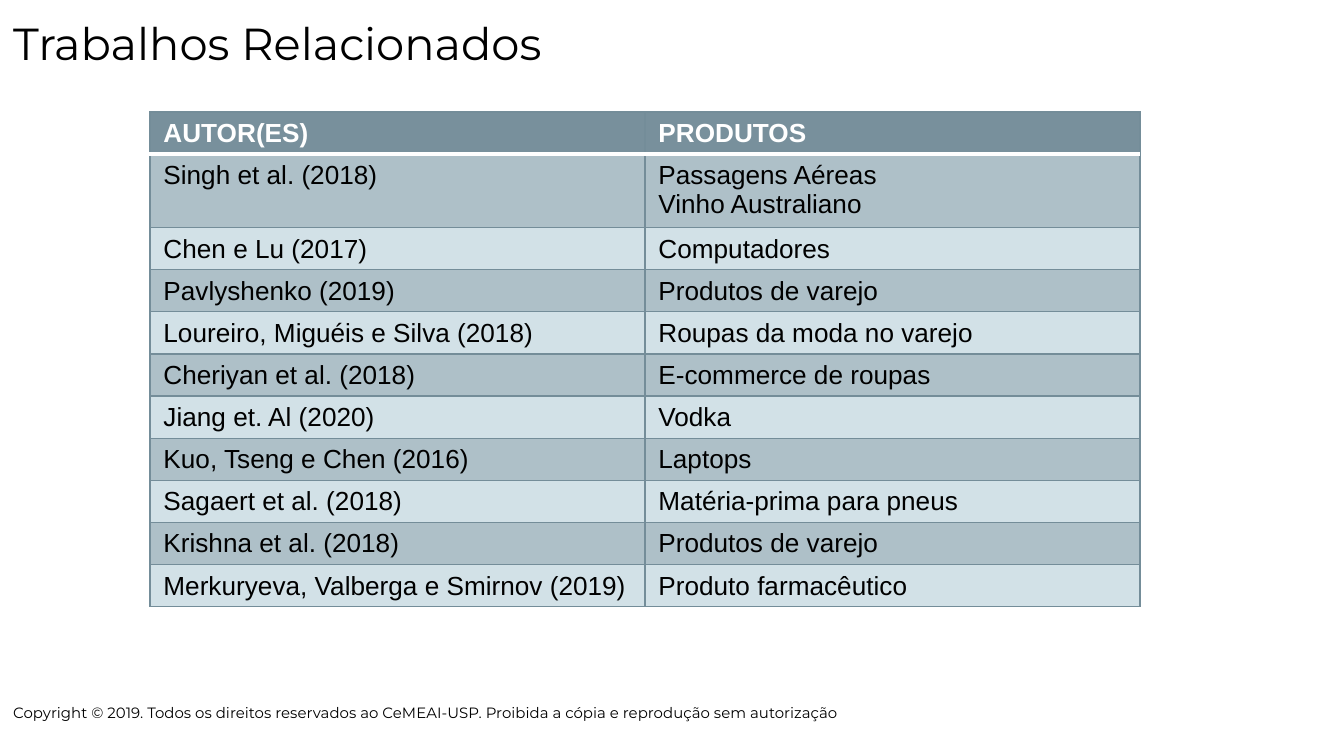
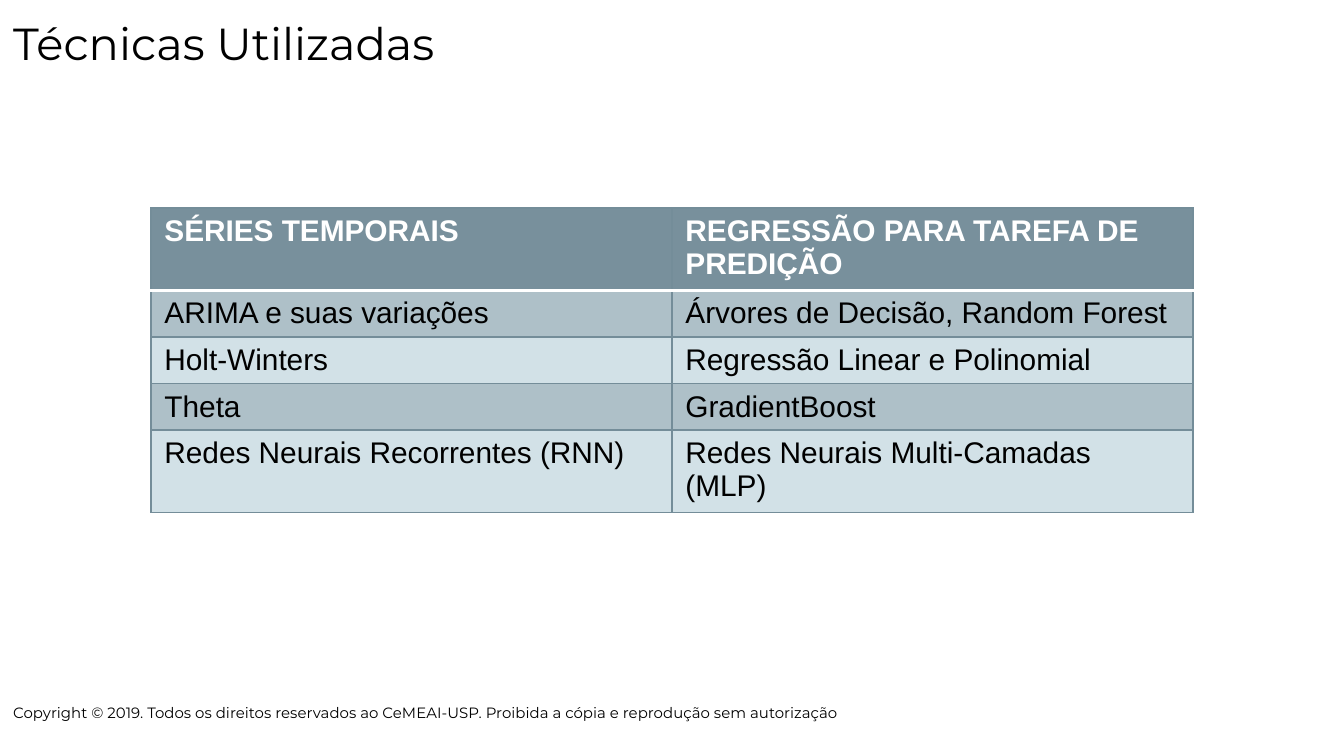
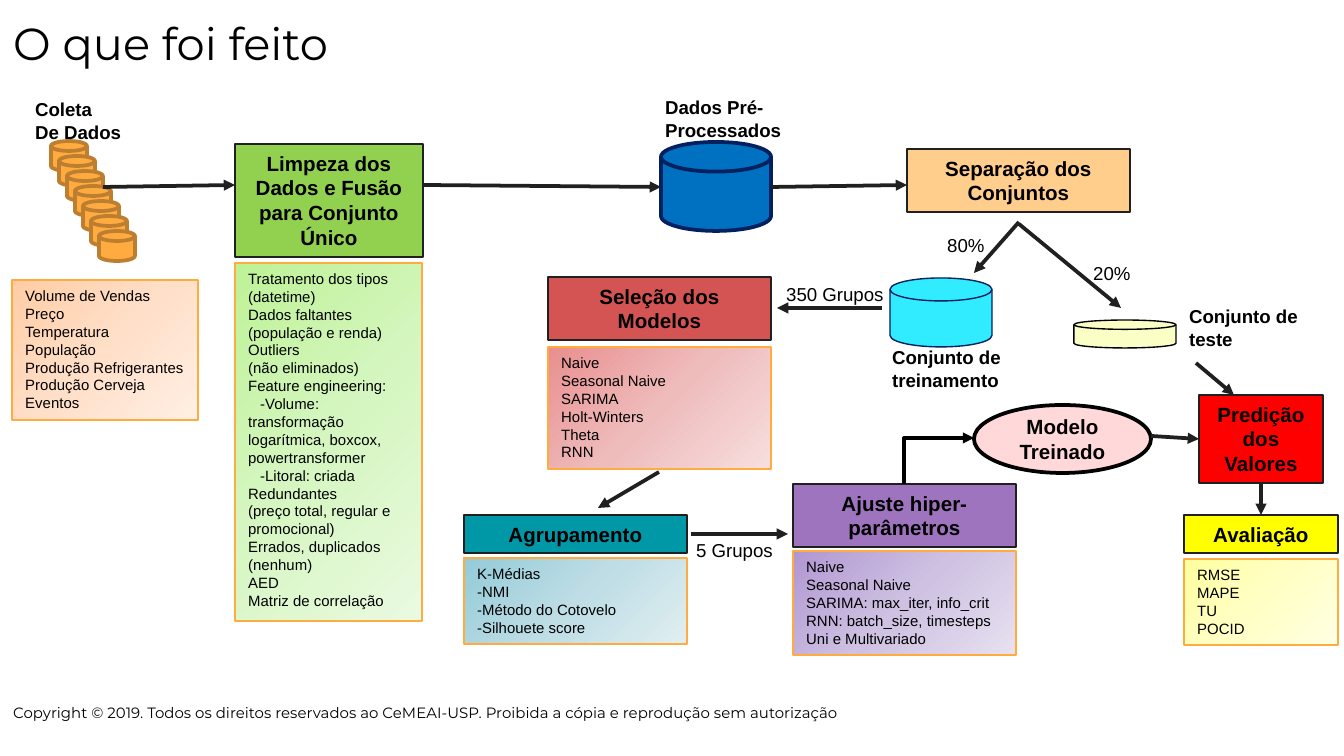
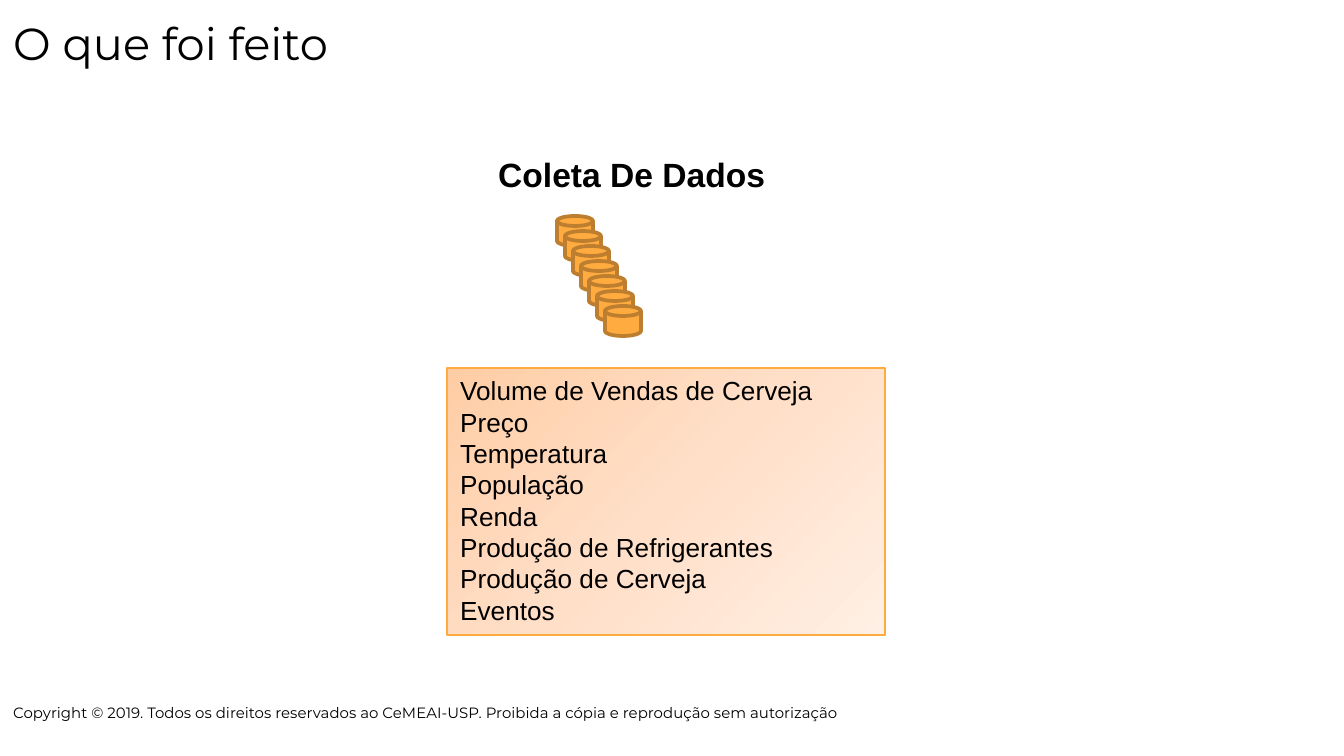
from pptx import Presentation
from pptx.dml.color import RGBColor
from pptx.enum.shapes import MSO_CONNECTOR, MSO_SHAPE
from pptx.enum.text import MSO_ANCHOR, PP_ALIGN
from pptx.oxml import parse_xml
from pptx.oxml.ns import nsdecls, qn
from pptx.util import Emu, Pt

RECTANGLE = MSO_SHAPE.RECTANGLE
DISK = MSO_SHAPE.FLOWCHART_MAGNETIC_DISK
ELLIPSE = MSO_SHAPE.FLOWCHART_CONNECTOR
STRAIGHT = MSO_CONNECTOR.STRAIGHT
ELBOW = MSO_CONNECTOR.ELBOW
LEFT, CENTER = PP_ALIGN.LEFT, PP_ALIGN.CENTER
TOP, MIDDLE = MSO_ANCHOR.TOP, MSO_ANCHOR.MIDDLE
SIDE_TOP, SIDE_LEFT, SIDE_BOTTOM = 0, 1, 2

BLACK = RGBColor(0x00, 0x00, 0x00)
WHITE = RGBColor(0xFF, 0xFF, 0xFF)
INK = RGBColor(0x20, 0x20, 0x20)
SLATE = RGBColor(0x78, 0x90, 0x9C)
ROW_DARK = RGBColor(0xAE, 0xC0, 0xC8)
ROW_LIGHT = RGBColor(0xD2, 0xE1, 0xE7)
TABLE_LINE = RGBColor(0x74, 0x8D, 0x99)
ORANGE = RGBColor(0xFF, 0xAB, 0x40)
BROWN = RGBColor(0xBD, 0x7F, 0x2F)
PEACH = RGBColor(0xFF, 0xCD, 0x8C)
GREEN = RGBColor(0x92, 0xD0, 0x50)
BLUE = RGBColor(0x00, 0x70, 0xC0)
NAVY = RGBColor(0x00, 0x20, 0x60)
CYAN = RGBColor(0x31, 0xEB, 0xFF)
LIME = RGBColor(0xEE, 0xFF, 0x41)
CRIMSON = RGBColor(0xC0, 0x00, 0x00)
TEAL = RGBColor(0x00, 0x97, 0xA7)
PURPLE = RGBColor(0x70, 0x30, 0xA0)
RED = RGBColor(0xFF, 0x00, 0x00)
YELLOW = RGBColor(0xFF, 0xFF, 0x00)


def shades(*codes):
    return [RGBColor.from_string(code) for code in codes]


ORANGE_SHADES = shades("FFCDA5", "FFDFC8", "FFEFE4")
GREEN_SHADES = shades("BEF297", "D5F6C0", "EAFAE0")
RED_SHADES = shades("E98F8F", "EFBCBC", "F7DEDE")
TEAL_SHADES = shades("93CBD8", "BEDDE5", "E0EEF1")
PURPLE_SHADES = shades("B197D2", "CEC1E2", "E7E1F0")
YELLOW_SHADES = shades("FFFFA0", "FFFFC5", "FFFFE3")

BODY_FONT, TITLE_FONT = "Arial", "Montserrat"
FOOTER = ("Copyright © 2019. Todos os direitos reservados ao CeMEAI-USP. "
          "Proibida a cópia e reprodução sem autorização")

RELATED_WORK = [
    ("AUTOR(ES)", "PRODUTOS"),
    ("Singh et al. (2018)", "Passagens Aéreas\nVinho Australiano"),
    ("Chen e Lu (2017)", "Computadores"),
    ("Pavlyshenko (2019)", "Produtos de varejo"),
    ("Loureiro, Miguéis e Silva (2018)", "Roupas da moda no varejo"),
    ("Cheriyan et al. (2018)", "E-commerce de roupas"),
    ("Jiang et. Al (2020)", "Vodka"),
    ("Kuo, Tseng e Chen (2016)", "Laptops"),
    ("Sagaert et al. (2018)", "Matéria-prima para pneus"),
    ("Krishna et al. (2018)", "Produtos de varejo"),
    ("Merkuryeva, Valberga e Smirnov (2019)", "Produto farmacêutico"),
]
TECHNIQUES = [
    ("SÉRIES TEMPORAIS", "REGRESSÃO PARA TAREFA DE PREDIÇÃO"),
    ("ARIMA e suas variações", "Árvores de Decisão, Random Forest"),
    ("Holt-Winters", "Regressão Linear e Polinomial"),
    ("Theta", "GradientBoost"),
    ("Redes Neurais Recorrentes (RNN)", "Redes Neurais Multi-Camadas (MLP)"),
]
CLEANING = """Tratamento dos tipos (datetime)
Dados faltantes
(população e renda)
Outliers
(não eliminados)
Feature engineering:
-Volume: transformação logarítmica, boxcox, powertransformer
-Litoral: criada
Redundantes
(preço total, regular e promocional)
Errados, duplicados
(nenhum)
AED
Matriz de correlação"""


def px(length):
    return Emu(round(length * 914400 / 134.4))


def write_text(frame, text, size=8, bold=False, color=BLACK, font=BODY_FONT,
               align=LEFT, spacing=None, indented=()):
    frame.word_wrap = True
    for index, line in enumerate(text.split("\n")):
        paragraph = frame.paragraphs[0] if index == 0 else frame.add_paragraph()
        paragraph.alignment = align
        paragraph.line_spacing = spacing
        if index in indented:
            paragraph._p.get_or_add_pPr().set("indent", str(px(12)))
        run = paragraph.add_run()
        run.text = line
        run.font.size = Pt(size)
        run.font.bold = bold
        run.font.name = font
        run.font.color.rgb = color


class Deck:
    """Holds the shared style and the slide being drawn."""

    def __init__(self):
        self.presentation = Presentation()
        self.presentation.slide_width = px(1344)
        self.presentation.slide_height = px(756)
        self.slide = None

    def new_slide(self, title):
        self.slide = self.presentation.slides.add_slide(self.presentation.slide_layouts[6])
        style = {"font": TITLE_FONT, "spacing": 1.0, "margin": 13, "anchor": MIDDLE}
        self.label(FOOTER, 0, 689, 937, 48, size=8, **style)
        self.label(title, 0, 0, 1253, 85, size=24, **style)

    def label(self, text, left, top, width, height, margin=7, anchor=TOP, **text_format):
        box = self.slide.shapes.add_textbox(px(left), px(top), px(width), px(height))
        box.text_frame.margin_top = box.text_frame.margin_bottom = px(margin)
        box.text_frame.vertical_anchor = anchor
        write_text(box.text_frame, text, **text_format)

    def shape(self, kind, left, top, width, height, fill, line=INK, weight=0.75,
              alpha=100, text="", anchor=TOP, **text_format):
        shape = self.slide.shapes.add_shape(kind, px(left), px(top), px(width), px(height))
        shape.shadow.inherit = False
        properties = shape.element.spPr
        if isinstance(fill, list):
            stops = "".join(
                f'<a:gs pos="{50000 * index}"><a:srgbClr val="{color}"/></a:gs>'
                for index, color in enumerate(fill))
            properties.insert(2, parse_xml(
                f'<a:gradFill {nsdecls("a")} rotWithShape="1"><a:gsLst>{stops}</a:gsLst>'
                '<a:lin ang="2700000" scaled="0"/></a:gradFill>'))
        else:
            shape.fill.solid()
            shape.fill.fore_color.rgb = fill
            if alpha < 100:
                color = properties.find(qn("a:solidFill")).find(qn("a:srgbClr"))
                color.append(parse_xml(f'<a:alpha {nsdecls("a")} val="{alpha * 1000}"/>'))
        shape.line.color.rgb = line
        shape.line.width = Pt(weight)
        if text:
            shape.text_frame.vertical_anchor = anchor
            write_text(shape.text_frame, text, **text_format)
        return shape

    def heading(self, text, left, top, width, height, fill, kind=RECTANGLE, **options):
        return self.shape(kind, left, top, width, height, fill, text=text,
                          size=11, bold=True, align=CENTER, **options)

    def listing(self, text, left, top, width, height, fill, **options):
        self.shape(RECTANGLE, left, top, width, height, fill, line=ORANGE,
                   text=text, **options)

    def disk_stack(self, left, top):
        for index in range(7):
            self.shape(DISK, left + 8 * index, top + 15 * index, 36, 30, ORANGE,
                       line=BROWN, weight=2)

    def arrow(self, x1, y1, x2, y2, kind=STRAIGHT, color=INK, begin=None, end=None):
        connector = self.slide.shapes.add_connector(kind, px(x1), px(y1), px(x2), px(y2))
        if begin:
            connector.begin_connect(*begin)
        if end:
            connector.end_connect(*end)
        connector.line.color.rgb = color
        connector.line.width = Pt(2)
        properties = connector.element.spPr
        properties.find(qn("a:ln")).append(
            parse_xml(f'<a:tailEnd {nsdecls("a")} type="triangle"/>'))
        properties.append(parse_xml(f'<a:effectLst {nsdecls("a")}/>'))
        return connector

    def corner_arrow(self, x1, y1, x2, y2):
        """Draws an arrow that rises from its start and then turns right."""
        center_x, center_y = (x1 + x2) / 2, (y1 + y2) / 2
        half_rise, half_run = (y1 - y2) / 2, (x2 - x1) / 2
        connector = self.arrow(center_x + half_rise, center_y + half_run,
                               center_x - half_rise, center_y - half_run,
                               kind=ELBOW, color=BLACK)
        properties = connector.element.spPr
        properties.find(qn("a:xfrm")).set("rot", "5400000")
        properties.find(qn("a:prstGeom")).set("prst", "bentConnector2")

    def table(self, rows, left, top, column_width, size):
        row_height = 42
        table = self.slide.shapes.add_table(
            len(rows), 2, px(left), px(top), px(2 * column_width),
            px(row_height * len(rows))).table
        for row_index, row in enumerate(rows):
            table.rows[row_index].height = px(row_height)
            header = row_index == 0
            for column_index, text in enumerate(row):
                cell = table.cell(row_index, column_index)
                cell.margin_bottom = px(4)
                write_text(cell.text_frame, text, size=size, bold=header,
                           color=WHITE if header else BLACK, spacing=1.0)
                cell.fill.solid()
                cell.fill.fore_color.rgb = (
                    SLATE if header else ROW_DARK if row_index % 2 else ROW_LIGHT)
                self.cell_borders(cell, row_index)

    def cell_borders(self, cell, row_index):
        white_side = {0: "B", 1: "T"}.get(row_index)
        for position, side in enumerate("LRTB"):
            color, weight = (WHITE, 2) if side == white_side else (TABLE_LINE, 0.75)
            cell._tc.get_or_add_tcPr().insert(position, parse_xml(
                f'<a:ln{side} {nsdecls("a")} w="{Pt(weight)}"><a:solidFill>'
                f'<a:srgbClr val="{color}"/></a:solidFill></a:ln{side}>'))


def draw_process(deck):
    deck.new_slide("O que foi feito")
    deck.disk_stack(51, 141)
    deck.shape(DISK, 661, 142, 110, 89, BLUE, line=NAVY, weight=2)
    deck.shape(DISK, 890, 278, 102, 69, CYAN, line=NAVY)
    deck.shape(DISK, 1074, 320, 102, 28, LIME, line=BLACK, alpha=30)

    for text, left, top in (
            ("Coleta\nDe Dados", 22, 91), ("Dados Pré-Processados", 652, 89),
            ("Conjunto de treinamento", 879, 339), ("Conjunto de teste", 1176, 298)):
        deck.label(text, left, top, 153, 59, size=10, bold=True)

    deck.heading("Limpeza dos Dados e Fusão para Conjunto Único", 235, 144, 188, 113, GREEN)
    deck.heading("Separação dos Conjuntos", 907, 149, 223, 63, PEACH)
    deck.heading("Seleção dos Modelos", 548, 277, 223, 63, CRIMSON, alpha=67)
    deck.heading("Agrupamento", 464, 515, 223, 38, TEAL)
    deck.heading("Ajuste hiper-parâmetros", 793, 484, 223, 63, PURPLE, alpha=67)
    deck.heading("Modelo Treinado", 974, 405, 177, 68, RED, kind=ELLIPSE, alpha=15,
                 line=BLACK, weight=2, anchor=MIDDLE)
    prediction = deck.heading("Predição dos Valores", 1199, 395, 124, 88, RED)
    evaluation = deck.heading("Avaliação", 1184, 515, 154, 38, YELLOW)

    deck.listing("Volume de Vendas\nPreço\nTemperatura\nPopulação\n"
                 "Produção Refrigerantes\nProdução Cerveja\nEventos",
                 12, 280, 186, 140, ORANGE_SHADES)
    deck.listing(CLEANING, 235, 263, 187, 358, GREEN_SHADES, indented=(6, 7))
    deck.listing("Naive\nSeasonal Naive\nSARIMA\nHolt-Winters\nTheta\nRNN",
                 548, 347, 223, 122, RED_SHADES)
    deck.listing("K-Médias\n-NMI\n-Método do Cotovelo\n-Silhouete score",
                 464, 558, 223, 86, TEAL_SHADES)
    deck.listing("Naive\nSeasonal Naive\nSARIMA: max_iter, info_crit\n"
                 "RNN: batch_size, timesteps\nUni e Multivariado",
                 793, 551, 223, 104, PURPLE_SHADES)
    deck.listing("RMSE\nMAPE\nTU\nPOCID", 1184, 559, 154, 86, YELLOW_SHADES)

    for points in (
            (103, 187, 235, 185), (423, 185, 661, 187), (771, 187, 907, 185),
            (1019, 224, 1121, 308), (1019, 222, 974, 273), (882, 308, 777, 308),
            (659, 472, 598, 508), (691, 534, 788, 534), (1196, 363, 1234, 395)):
        deck.arrow(*points)
    deck.arrow(1151, 436, 1199, 439, end=(prediction, SIDE_LEFT))
    deck.arrow(1261, 483, 1261, 515, begin=(prediction, SIDE_BOTTOM),
               end=(evaluation, SIDE_TOP))
    deck.corner_arrow(904, 484, 974, 438)

    for text, left, top, width in (
            ("80%", 934, 227, 66), ("20%", 1080, 255, 66),
            ("350 Grupos", 773, 276, 146), ("5 Grupos", 683, 532, 146)):
        deck.label(text, left, top, width, 36, size=10)


def draw_collection(deck):
    deck.new_slide("O que foi feito")
    deck.disk_stack(557, 216)
    deck.label("Coleta De Dados", 485, 147, 301, 54, size=18, bold=True)
    deck.listing("Volume de Vendas de Cerveja\nPreço\nTemperatura\nPopulação\nRenda\n"
                 "Produção de Refrigerantes\nProdução de Cerveja\nEventos",
                 447, 368, 438, 267, ORANGE_SHADES, size=14)


def main():
    deck = Deck()
    deck.new_slide("Trabalhos Relacionados")
    deck.table(RELATED_WORK, 150, 112, 495, size=14)
    deck.new_slide("Técnicas Utilizadas")
    deck.table(TECHNIQUES, 151, 208, 521, size=16)
    draw_process(deck)
    draw_collection(deck)
    deck.presentation.save("out.pptx")


if __name__ == "__main__":
    main()
